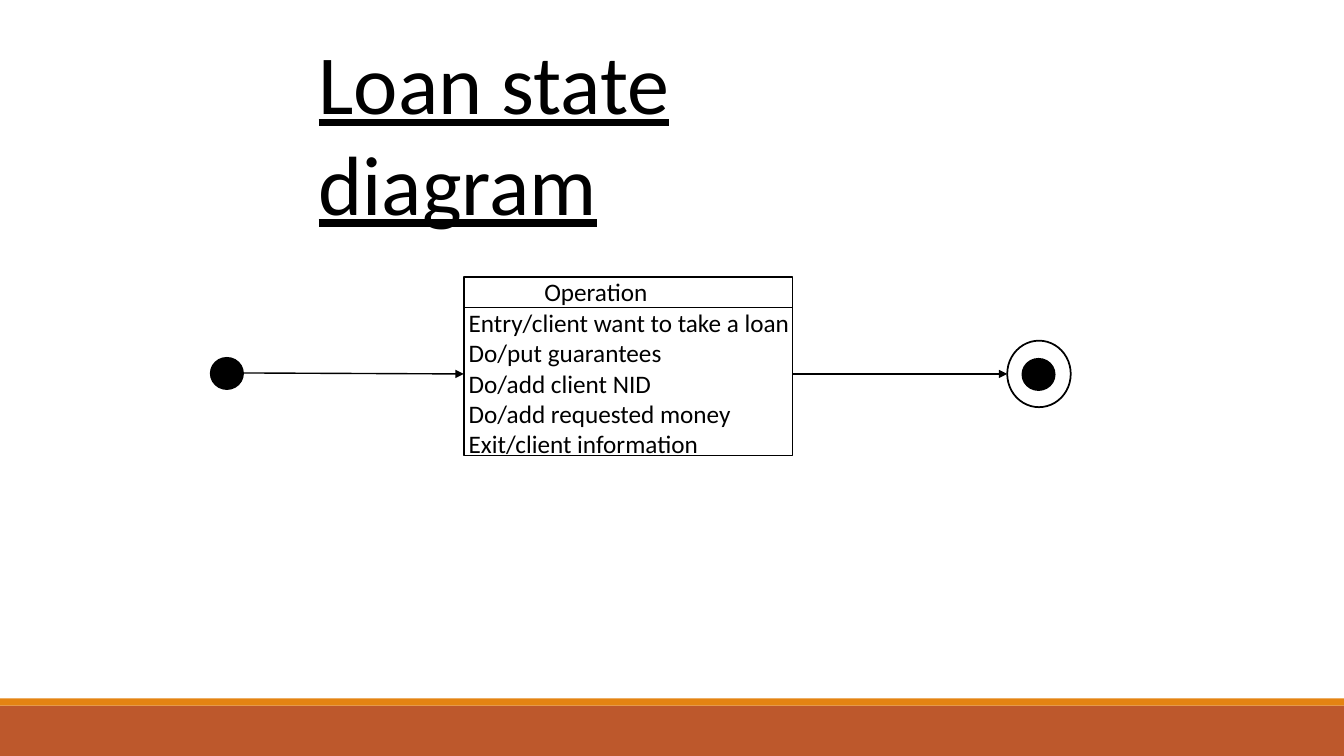
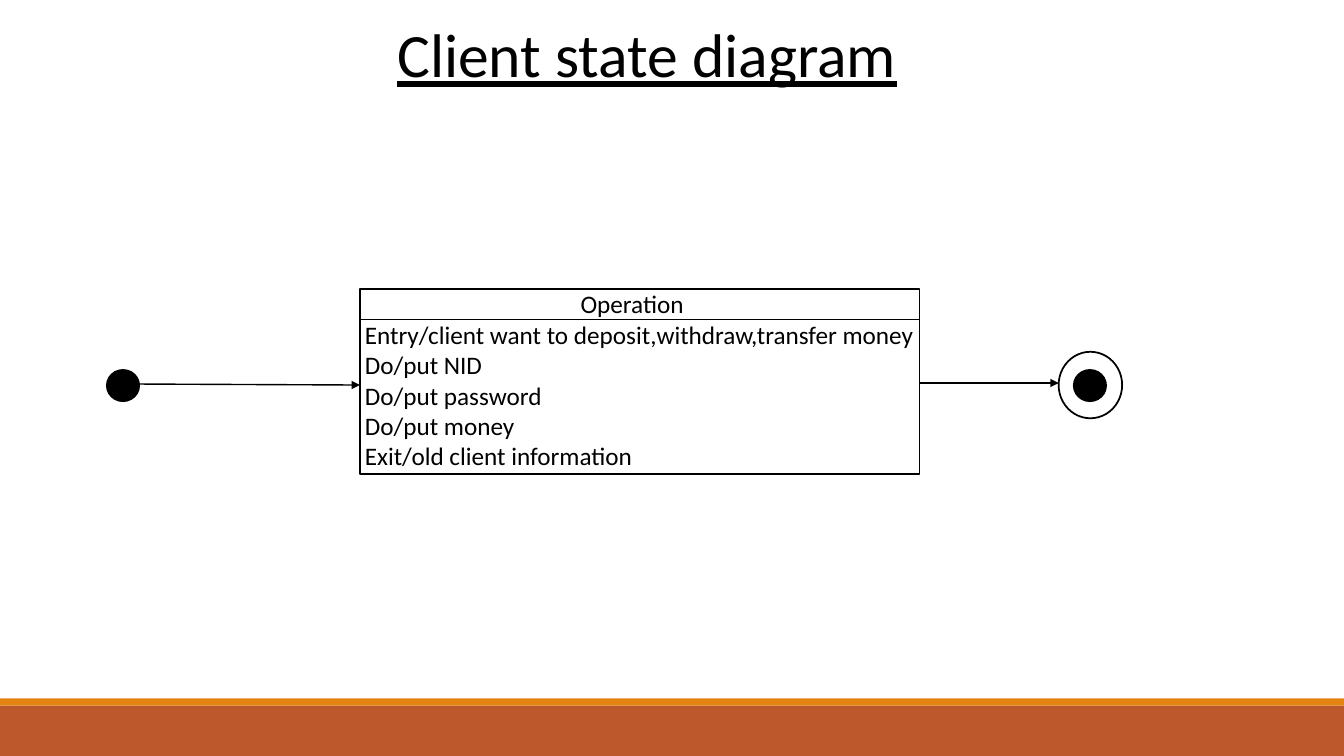
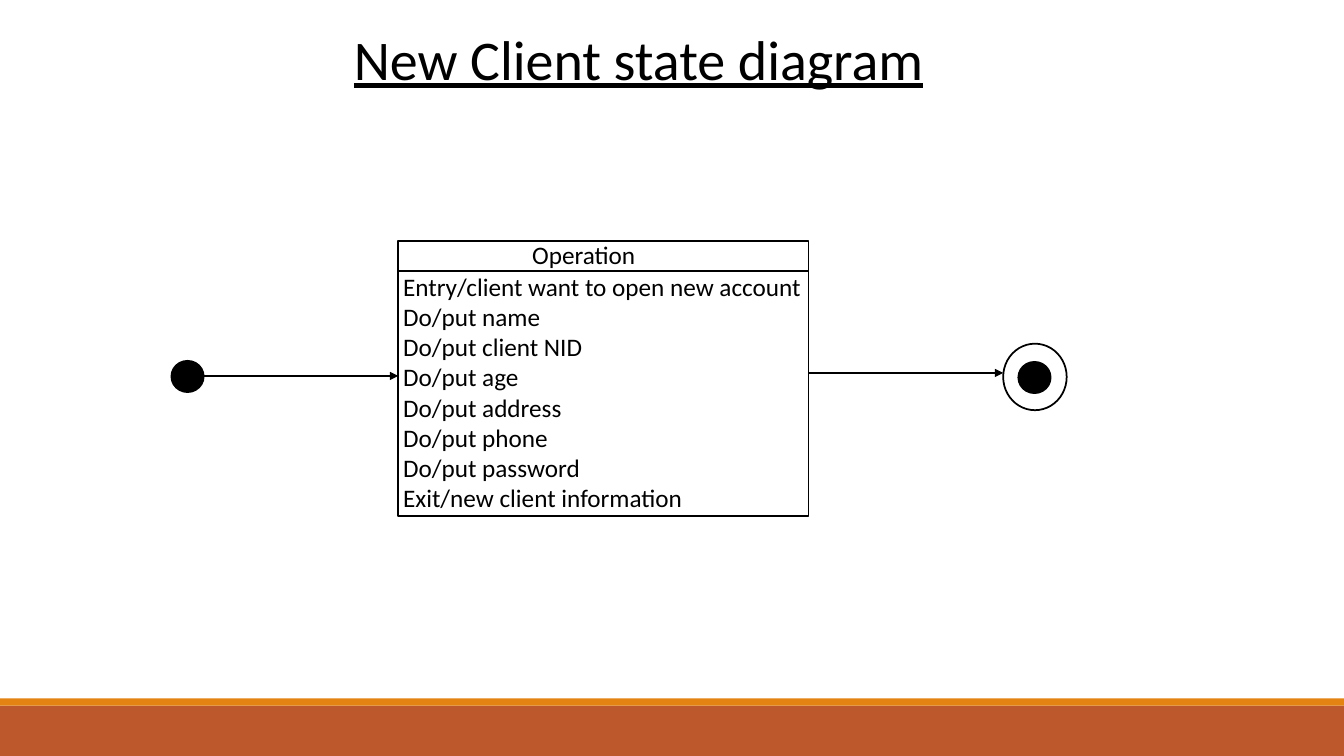
from lxml import etree
from pptx import Presentation
from pptx.dml.color import RGBColor
from pptx.enum.shapes import MSO_CONNECTOR, MSO_SHAPE
from pptx.enum.text import MSO_ANCHOR, MSO_AUTO_SIZE, PP_ALIGN
from pptx.oxml.ns import qn
from pptx.util import Inches, Pt

RECT, OVAL = MSO_SHAPE.RECTANGLE, MSO_SHAPE.OVAL
LINE = MSO_CONNECTOR.STRAIGHT
LEFT, TOP, FIXED = PP_ALIGN.LEFT, MSO_ANCHOR.TOP, MSO_AUTO_SIZE.NONE

BLACK = RGBColor(0x00, 0x00, 0x00)
WHITE = RGBColor(0xFF, 0xFF, 0xFF)
RUST = RGBColor(0xBD, 0x58, 0x2C)
AMBER = RGBColor(0xE4, 0x83, 0x12)

FONT = "Calibri"
WIDE, HIGH = 13.33, 7.5
DOT_W, DOT_H = 0.32, 0.31
RING_W, RING_H = 0.63, 0.66
HEAD_H = 0.3

# Boxes are left, top, width, height; label is the heading's left inset;
# way_in holds the heights of the first arrow's two ends.
SLIDES = [
    dict(title="Loan state diagram", size=60, area=(3.06, 0.25, 6.42, 1.11),
         start=(2.09, 3.55), box=(4.6, 2.75, 3.26, 1.77), label=0.7,
         end=(9.99, 3.38), way_in=(3.7, 3.71), way_out=3.71,
         steps=["Entry/client want to take a loan", "Do/put guarantees",
                "Do/add client NID", "Do/add requested money",
                "Exit/client information"]),
    dict(title="Client state diagram", size=44, area=(3.84, 0.11, 5.21, 0.84),
         start=(1.06, 3.67), box=(3.57, 2.87, 5.55, 1.83), label=2.09,
         end=(10.5, 3.49), way_in=(3.81, 3.82), way_out=3.8,
         steps=["Entry/client want to deposit,withdraw,transfer money",
                "Do/put NID", "Do/put password", "Do/put money",
                "Exit/old client information"]),
    dict(title="New Client state diagram", size=40,
         area=(3.41, 0.19, 5.91, 0.77),
         start=(1.7, 3.58), box=(3.95, 2.39, 4.07, 2.73), label=1.23,
         end=(9.95, 3.41), way_in=(3.73, 3.73), way_out=3.7,
         steps=["Entry/client want to open new account", "Do/put name",
                "Do/put client NID", "Do/put age", "Do/put address",
                "Do/put phone", "Do/put password",
                "Exit/new client information"]),
]


def add_form(slide, kind, box, fill=None, line=BLACK):
    form = slide.shapes.add_shape(kind, *map(Inches, box))
    form.shadow.inherit = False
    if fill is None:
        form.fill.background()
    else:
        form.fill.solid()
        form.fill.fore_color.rgb = fill
    if line is None:
        form.line.fill.background()
    else:
        form.line.color.rgb = line
        form.line.width = Pt(1.25)
    return form


def add_line(slide, x1, y1, x2, y2, arrow=False):
    link = slide.shapes.add_connector(LINE, *map(Inches, (x1, y1, x2, y2)))
    link.line.color.rgb = BLACK
    link.line.width = Pt(1)
    if arrow:
        stroke = link.line._get_or_add_ln()
        etree.SubElement(stroke, qn("a:tailEnd"), type="triangle")
    etree.SubElement(link.element.spPr, qn("a:effectLst"))


def write(frame, lines, size, under=None):
    frame.word_wrap = True
    frame.auto_size = FIXED
    frame.vertical_anchor = TOP
    for i, text in enumerate(lines):
        para = frame.add_paragraph() if i else frame.paragraphs[0]
        para.alignment = LEFT
        run = para.add_run()
        run.text = text
        font = run.font
        font.name, font.size, font.underline = FONT, Pt(size), under
        font.color.rgb = BLACK


def add_text(slide, box, lines):
    area = slide.shapes.add_textbox(*map(Inches, box))
    write(area.text_frame, lines, 18)


def add_bands(master, slide):
    """Draw the footer bands on a slide, then move them to the master."""
    tree = master.element.cSld.spTree
    bands = [((0, 7, WIDE, 0.5), RUST), ((0, 6.93, WIDE, 0.07), AMBER)]
    for i, (box, fill) in enumerate(bands):
        band = add_form(slide, RECT, box, fill, None)
        band.element.nvSpPr.cNvPr.set("id", str(100 + i))
        tree.insert(2 + i, band.element)


def set_title(slide, text, size, area):
    title = slide.shapes.title
    title.left, title.top, title.width, title.height = map(Inches, area)
    write(title.text_frame, [text], size, True)


def add_dot(slide, x, y):
    add_form(slide, OVAL, (x, y, DOT_W, DOT_H), BLACK)


def add_end(slide, x, y):
    add_dot(slide, x + 0.15, y + 0.18)
    add_form(slide, OVAL, (x, y, RING_W, RING_H))


def add_state(slide, box, label, steps):
    x, y, w, h = box
    add_form(slide, RECT, box, WHITE)
    add_line(slide, x, y + HEAD_H, x + w, y + HEAD_H)
    add_text(slide, (x + label, y - 0.06, 1.3, 0.4), ["Operation"])
    add_text(slide, (x - 0.05, y + 0.25, w + 0.16, h), steps)


def add_flow(slide, start, box, label, end, way_in, way_out, steps):
    add_dot(slide, *start)
    add_state(slide, box, label, steps)
    add_end(slide, *end)
    add_line(slide, start[0] + DOT_W, way_in[0], box[0], way_in[1], True)
    add_line(slide, box[0] + box[2], way_out, end[0], way_out, True)


def main():
    prs = Presentation()
    prs.slide_width, prs.slide_height = Inches(WIDE), Inches(HIGH)
    layout = prs.slide_layouts.get_by_name("Title Only")
    for i, data in enumerate(SLIDES):
        slide = prs.slides.add_slide(layout)
        if i == 0:
            add_bands(prs.slide_master, slide)
        flow = dict(data)
        set_title(slide, flow.pop("title"), flow.pop("size"), flow.pop("area"))
        add_flow(slide, **flow)
    prs.save("out.pptx")


if __name__ == "__main__":
    main()
